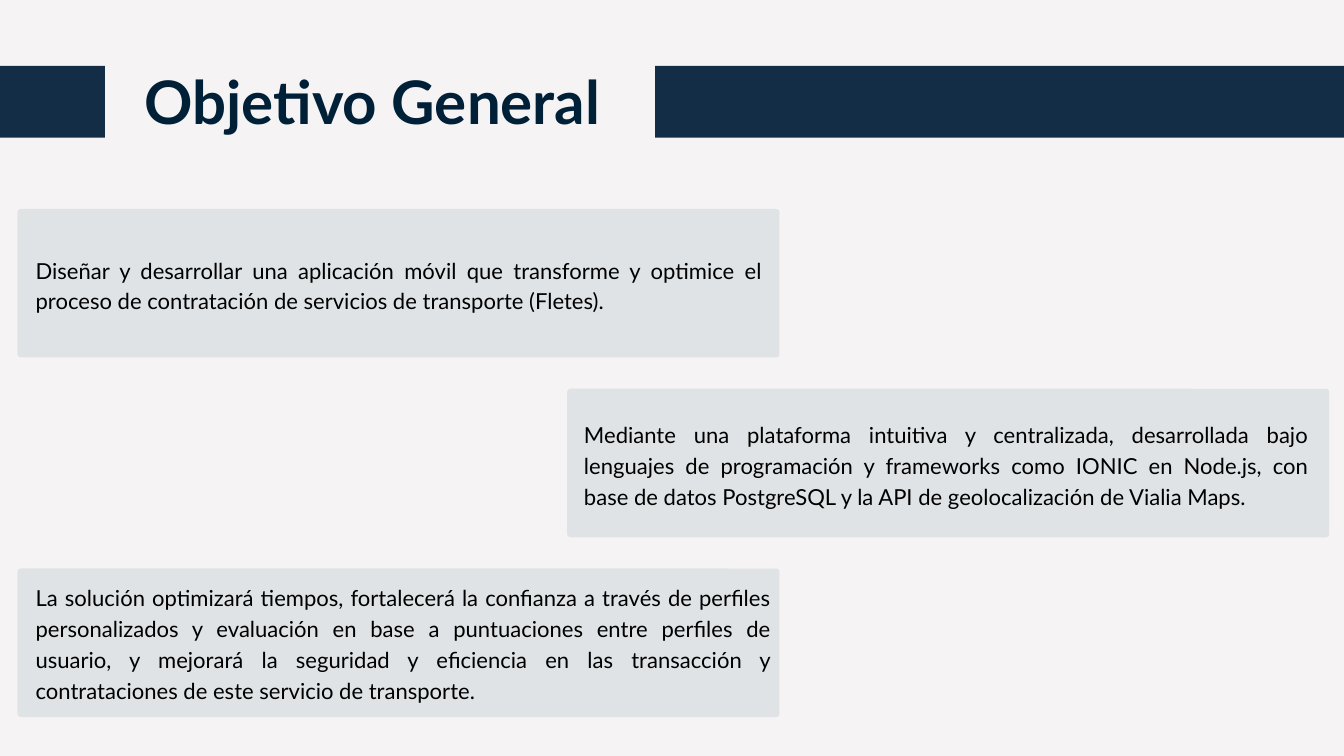
from lxml import etree
from pptx import Presentation
from pptx import util as u
from pptx.dml.color import RGBColor
from pptx.enum import shapes, text
from pptx.oxml.ns import qn

PAPER = RGBColor(0xF5, 0xF3, 0xF3)
NAVY = RGBColor(0x13, 0x2D, 0x46)
TITLE_INK = RGBColor(0x00, 0x20, 0x38)
BLACK = RGBColor(0, 0, 0)
TEAL = RGBColor(0x09, 0x4C, 0x69)

PAGE_WIDTH, PAGE_HEIGHT = 20, 11.25
BAND_TOP, BAND_HEIGHT = 0.98, 1.07
CARD_WIDTH, CARD_HEIGHT, CARD_RADIUS = 11.34, 2.21, 0.05
LEFT_CARD, RIGHT_CARD = 0.26, 8.44
FIRST_CARD_TOP, CARD_STEP = 3.11, 2.675

# card left, text left, text top, text width, text height, wording
GOALS = [
    (LEFT_CARD, 0.53, 3.76, 10.81, 0.88,
     "Diseñar y desarrollar una aplicación móvil que transforme y optimice el "
     "proceso de contratación de servicios de transporte (Fletes)."),
    (RIGHT_CARD, 8.69, 6.21, 10.78, 1.32,
     "Mediante una plataforma intuitiva y centralizada, desarrollada bajo "
     "lenguajes de programación y frameworks como IONIC en Node.js, con base "
     "de datos PostgreSQL y la API de geolocalización de Vialia Maps."),
    (LEFT_CARD, 0.53, 8.64, 10.94, 1.81,
     "La solución optimizará tiempos, fortalecerá la confianza a través de "
     "perfiles personalizados y evaluación en base a puntuaciones entre "
     "perfiles de usuario, y mejorará la seguridad y eficiencia en las "
     "transacción y contrataciones de este servicio de transporte."),
]


def set_all(target, values):
    for name, value in values.items():
        setattr(target, name, value)


class Painter:
    TITLE = {"name": "Lato", "size": u.Pt(64.3), "bold": True}
    BODY = {"name": "Lato", "size": u.Pt(23.6), "bold": False}
    TITLE_PARA = {"alignment": text.PP_ALIGN.LEFT, "line_spacing": u.Pt(68.8)}
    BODY_PARA = {"alignment": text.PP_ALIGN.JUSTIFY, "line_spacing": u.Pt(33)}
    FRAME = {"word_wrap": True, "margin_left": 0, "margin_right": 0,
             "margin_top": 0, "margin_bottom": 0,
             "vertical_anchor": text.MSO_ANCHOR.TOP}

    def __init__(self, page):
        self.page = page
        page.background.fill.solid()
        page.background.fill.fore_color.rgb = PAPER

    def _shape(self, kind, place, color):
        shape = self.page.shapes.add_shape(kind, *map(u.Inches, place))
        shape.shadow.inherit = False
        shape.fill.solid()
        shape.fill.fore_color.rgb = color
        shape.line.fill.background()
        return shape

    def band(self, left, right):
        place = (left, BAND_TOP, right - left, BAND_HEIGHT)
        self._shape(shapes.MSO_SHAPE.RECTANGLE, place, NAVY)

    def card(self, left, top):
        """Add a rounded card tinted at 9 % opacity."""
        place = (left, top, CARD_WIDTH, CARD_HEIGHT)
        card = self._shape(shapes.MSO_SHAPE.ROUNDED_RECTANGLE, place, TEAL)
        card.adjustments[0] = CARD_RADIUS / CARD_HEIGHT
        color = card.fill._xPr.find(qn("a:solidFill"))[0]
        etree.SubElement(color, qn("a:alpha"), val="9000")

    def _text(self, place, wording, para_format, font, color):
        box = self.page.shapes.add_textbox(*map(u.Inches, place))
        set_all(box.text_frame, self.FRAME)
        para = box.text_frame.paragraphs[0]
        set_all(para, para_format)
        span = para.add_run()
        span.text = wording
        set_all(span.font, font)
        span.font.color.rgb = color

    def title(self, place, wording):
        self._text(place, wording, self.TITLE_PARA, self.TITLE, TITLE_INK)

    def body(self, place, wording):
        self._text(place, wording, self.BODY_PARA, self.BODY, BLACK)


def main():
    deck = Presentation()
    deck.slide_width = u.Inches(PAGE_WIDTH)
    deck.slide_height = u.Inches(PAGE_HEIGHT)
    painter = Painter(deck.slides.add_slide(deck.slide_layouts[6]))

    painter.band(0, 1.56)
    painter.band(9.75, PAGE_WIDTH)
    painter.title((2.15, 1.07, 7.3, 0.99), "Objetivo General")
    for row, (card_left, *place, wording) in enumerate(GOALS):
        painter.card(card_left, FIRST_CARD_TOP + row * CARD_STEP)
        painter.body(place, wording)

    deck.save("out.pptx")


if __name__ == "__main__":
    main()
